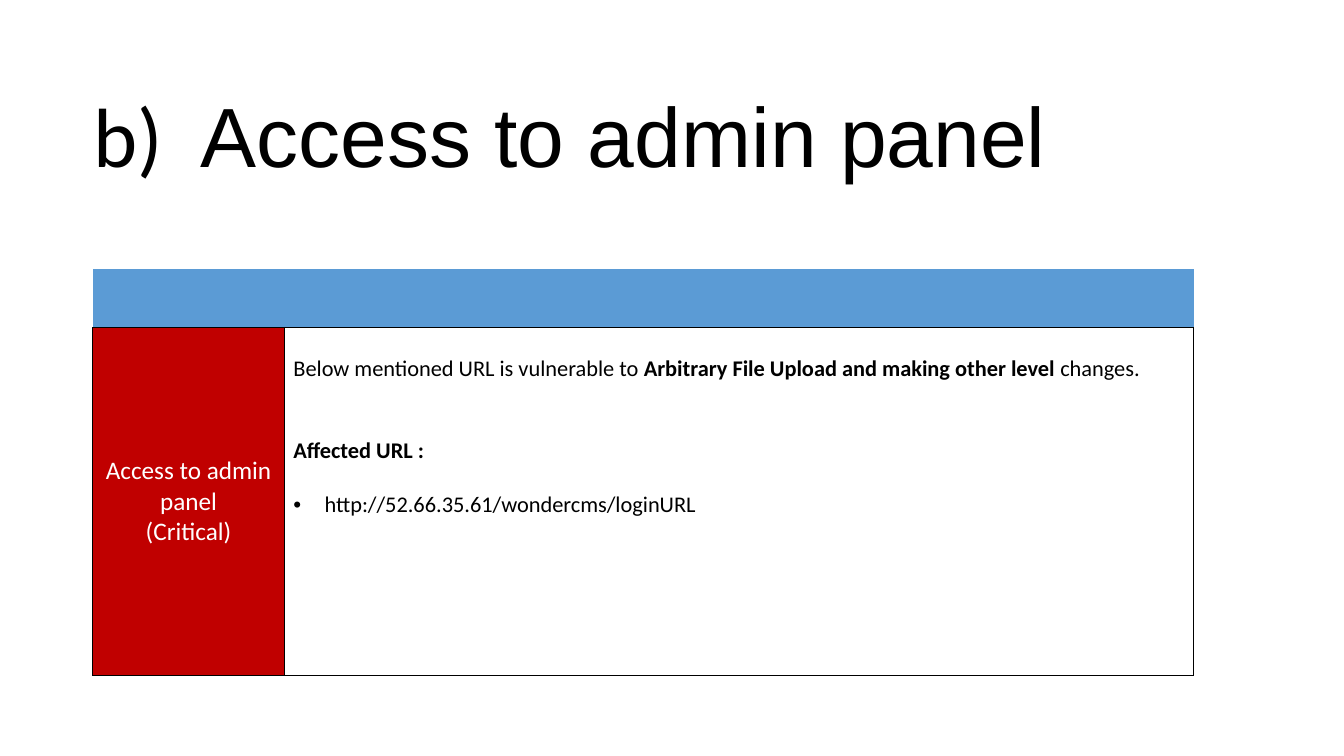
from dataclasses import dataclass

from lxml import etree
from pptx import Presentation
from pptx import util as u
from pptx.dml import color
from pptx.enum import text
from pptx.oxml import ns


@dataclass(frozen=True)
class Theme:
    black: str = "000000"
    white: str = "FFFFFF"
    blue: str = "5B9BD5"
    red: str = "C00000"
    head: str = "Arial"
    body: str = "Calibri"
    title: int = 60
    label: int = 18
    note: int = 16


LOOK = Theme()


def put(item, form):
    for key, value in form.items():
        setattr(item, key, value)


def add_run(para, words, size, tint, font=LOOK.body, bold=False):
    run = para.add_run()
    run.text = words
    put(run.font, dict(size=u.Pt(size), name=font, bold=bold))
    run.font.color.rgb = color.RGBColor.from_string(tint)


def add_tag(parent, tag, **attrs):
    return etree.SubElement(parent, ns.qn(tag), attrs)


def paint(cell, fill, line=None):
    cell.fill.solid()
    cell.fill.fore_color.rgb = color.RGBColor.from_string(fill)
    props = cell._tc.get_or_add_tcPr()
    for spot, side in enumerate("LRTB"):
        edge = etree.Element(ns.qn(f"a:ln{side}"), w=str(u.Pt(1)))
        if line:
            add_tag(add_tag(edge, "a:solidFill"), "a:srgbClr", val=line)
        else:
            add_tag(edge, "a:noFill")
        props.insert(spot, edge)


def add_title(slide, left, top, width, height):
    title = slide.shapes.title
    put(title, dict(left=u.Inches(left), top=u.Inches(top),
                    width=u.Inches(width), height=u.Inches(height)))
    frame = title.text_frame
    put(frame, dict(word_wrap=True, auto_size=text.MSO_AUTO_SIZE.NONE,
                    vertical_anchor=text.MSO_ANCHOR.BOTTOM))
    para = frame.paragraphs[0]
    put(para, dict(alignment=text.PP_ALIGN.LEFT, line_spacing=0.9))
    stops = add_tag(para._p.get_or_add_pPr(), "a:tabLst")
    add_tag(stops, "a:tab", pos=str(u.Inches(1.06)), algn="l")
    add_run(para, "b)\t", LOOK.title, LOOK.black)
    add_run(para, "Access to admin panel", LOOK.title, LOOK.black, LOOK.head)


def fill_label(cell):
    paint(cell, LOOK.red, LOOK.black)
    cell.vertical_anchor = text.MSO_ANCHOR.MIDDLE
    frame = cell.text_frame
    for row, words in enumerate(("Access to admin panel", "(Critical)")):
        para = frame.add_paragraph() if row else frame.paragraphs[0]
        para.alignment = text.PP_ALIGN.CENTER
        add_run(para, words, LOOK.label, LOOK.white)


def fill_note(cell):
    paint(cell, LOOK.white, LOOK.black)
    cell.margin_top = u.Inches(0.27)
    frame = cell.text_frame
    lead = frame.paragraphs[0]
    for words, bold in (
        ("Below mentioned URL is vulnerable to ", False),
        ("Arbitrary File Upload and making other level ", True),
        ("changes.", False),
    ):
        add_run(lead, words, LOOK.note, LOOK.black, bold=bold)

    head = frame.add_paragraph()
    head.space_before = u.Pt(39)
    add_run(head, "Affected URL :", LOOK.note, LOOK.black, bold=True)

    link = frame.add_paragraph()
    link.space_before = u.Pt(19.5)
    props = link._p.get_or_add_pPr()
    dent = u.Inches(0.31)
    props.set("marL", str(dent))
    props.set("indent", str(-dent))
    add_tag(add_tag(props, "a:buClr"), "a:srgbClr", val=LOOK.black)
    add_tag(props, "a:buFont", typeface=LOOK.head)
    add_tag(props, "a:buChar", char="•")
    add_run(link, "http://52.66.35.61/wondercms/loginURL", LOOK.note, LOOK.black)


def add_finding(slide, left, top, width, height):
    side, band = 1.9, 0.58
    box = [u.Inches(n) for n in (left, top, width, height)]
    table = slide.shapes.add_table(2, 2, *box).table
    put(table, dict(first_row=False, horz_banding=False))
    for col, size in zip(table.columns, (side, width - side)):
        col.width = u.Inches(size)
    for row, size in zip(table.rows, (band, height - band)):
        row.height = u.Inches(size)
    for cell in table.rows[0].cells:
        paint(cell, LOOK.blue)
    for cell in table.iter_cells():
        put(cell, dict(margin_left=u.Inches(0.09), margin_right=u.Inches(0.09),
                       margin_top=u.Inches(0.05), margin_bottom=u.Inches(0.05)))
    fill_label(table.cell(1, 0))
    fill_note(table.cell(1, 1))


def main():
    deck = Presentation()
    put(deck, dict(slide_width=u.Inches(13.33), slide_height=u.Inches(7.5)))
    slide = deck.slides.add_slide(deck.slide_layouts.get_by_name("Title Only"))
    add_title(slide, 0.83, 0.63, 10.84, 1.26)
    add_finding(slide, 0.92, 2.67, 10.92, 4.03)
    deck.save("out.pptx")


if __name__ == "__main__":
    main()
